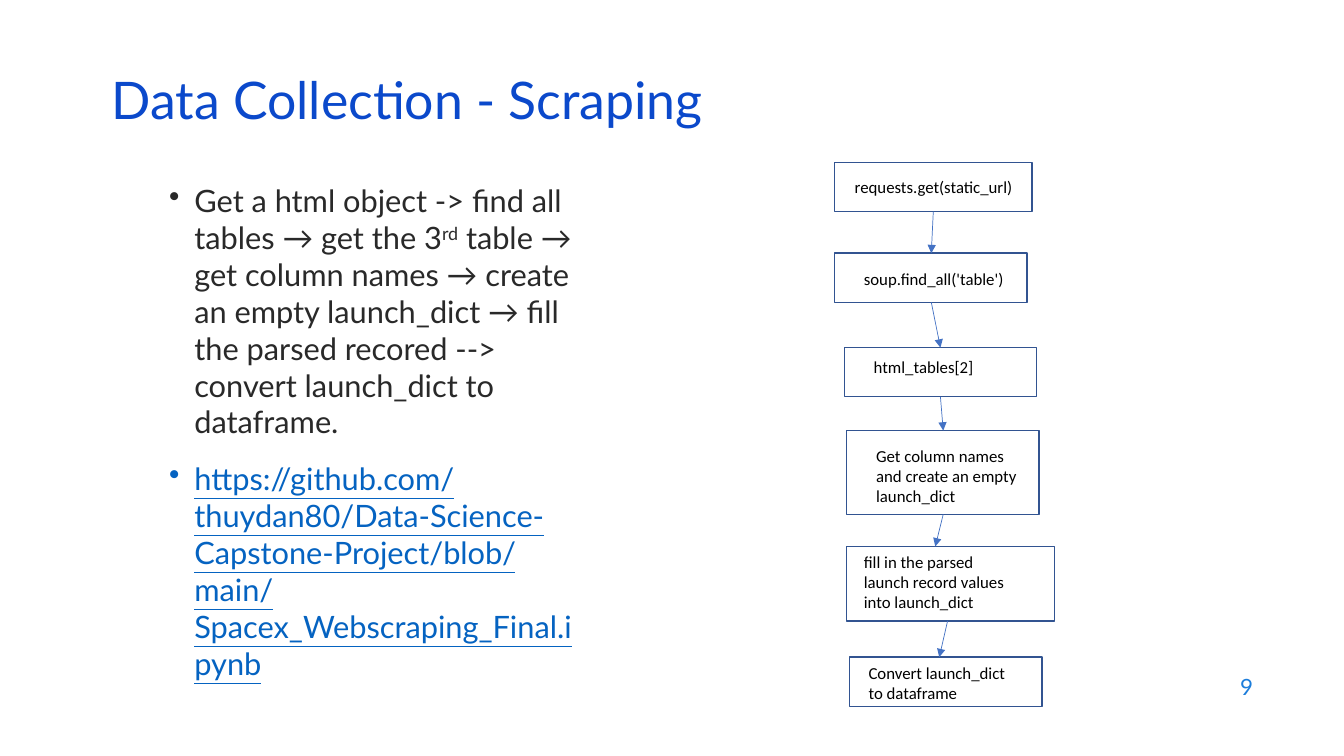
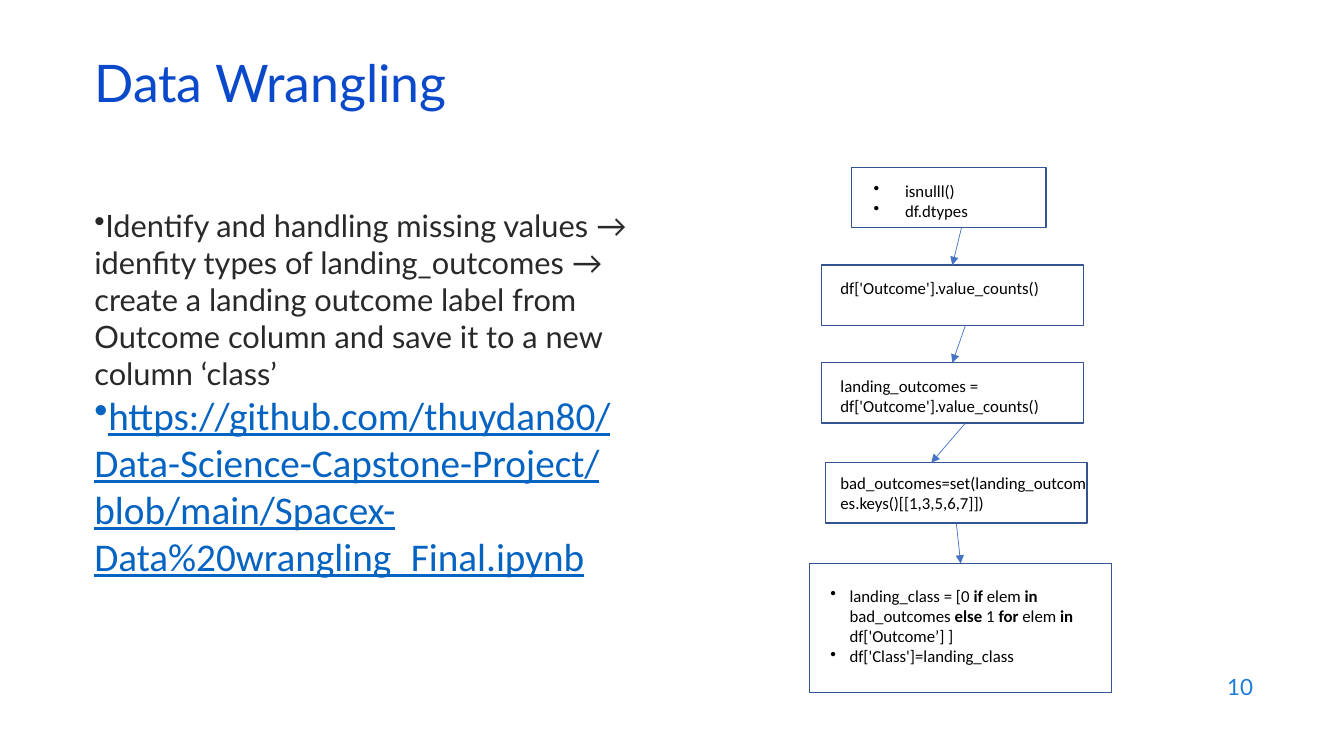
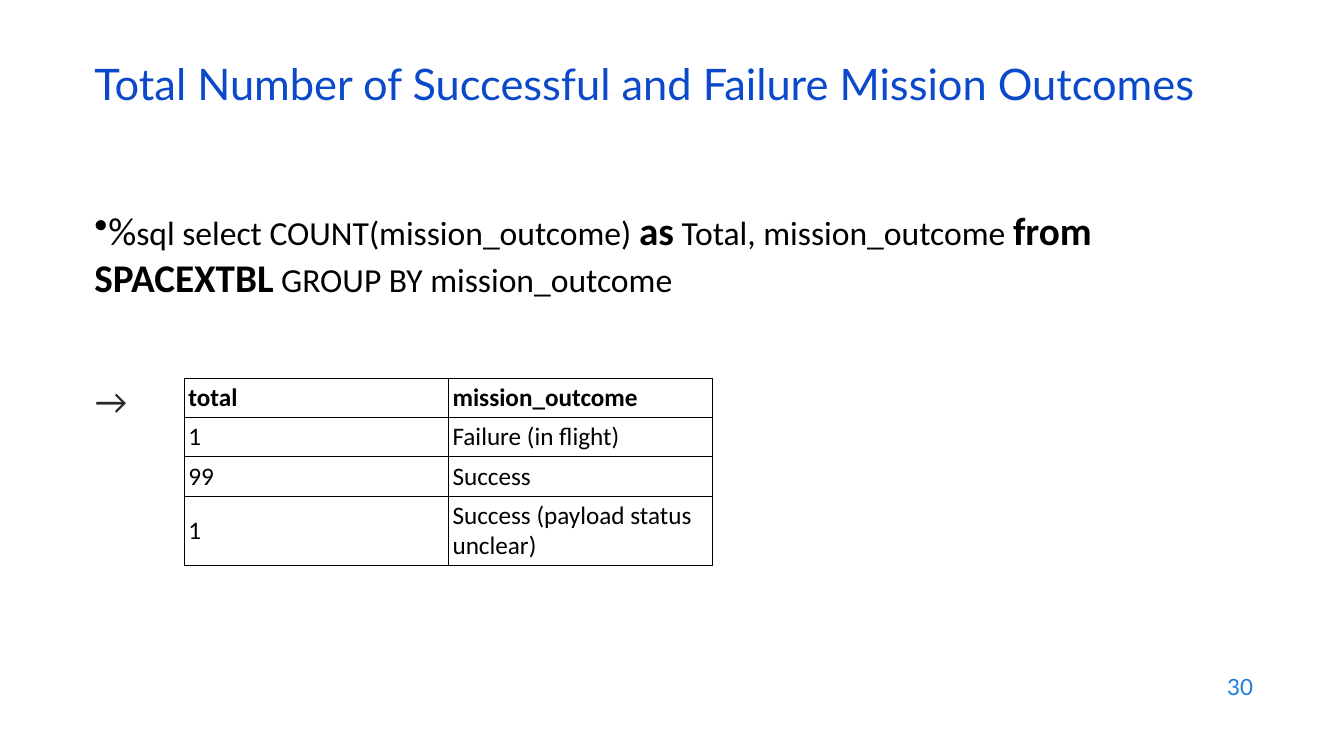
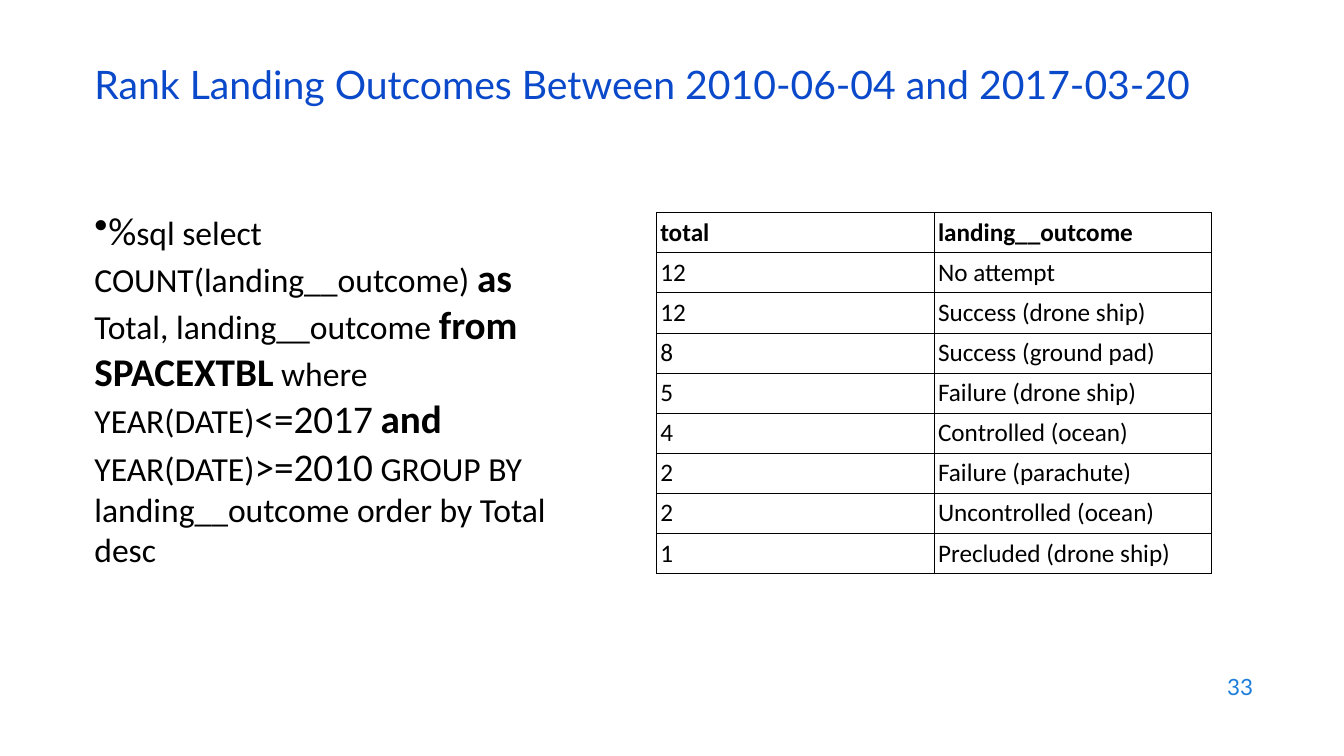
from dataclasses import dataclass

from lxml import etree
from pptx import Presentation
from pptx.dml.color import RGBColor
from pptx.enum.shapes import MSO_CONNECTOR, MSO_SHAPE
from pptx.enum.text import MSO_ANCHOR, PP_ALIGN
from pptx.oxml.ns import qn
from pptx.slide import Slide
from pptx.table import _Cell
from pptx.text.text import TextFrame, _Paragraph, _Run
from pptx.util import Cm, Pt

RECTANGLE = MSO_SHAPE.RECTANGLE
STRAIGHT = MSO_CONNECTOR.STRAIGHT
TOP, MIDDLE = MSO_ANCHOR.TOP, MSO_ANCHOR.MIDDLE
LEFT, RIGHT = PP_ALIGN.LEFT, PP_ALIGN.RIGHT

TITLE_BLUE = RGBColor(0x0B, 0x49, 0xCB)
NUMBER_BLUE = RGBColor(0x1C, 0x7D, 0xDB)
LINK_BLUE = RGBColor(0x05, 0x63, 0xC1)
BOX_LINE = RGBColor(0x32, 0x54, 0x91)
ARROW_BLUE = RGBColor(0x44, 0x72, 0xC4)
DARK = RGBColor(0x29, 0x29, 0x29)
BLACK = RGBColor(0, 0, 0)
WHITE = RGBColor(0xFF, 0xFF, 0xFF)

LATO = "Lato"
CALIBRI = "Calibri"
MARGIN = 2.13
BODY_TOP = 5.08


@dataclass(frozen=True)
class Style:
    size: float
    font: str = CALIBRI
    color: RGBColor = BLACK
    bold: bool = False
    underline: bool = False
    superscript: bool = False


BODY = Style(22, LATO, DARK)
BODY_RAISED = Style(22, LATO, DARK, superscript=True)
BODY_LINK = Style(22, LATO, LINK_BLUE, underline=True)
LARGE_LINK = Style(28, CALIBRI, LINK_BLUE, underline=True)
QUERY = Style(24)
QUERY_LARGE = Style(28)
KEYWORD = Style(28, bold=True)
ARROW_SIGN = Style(24, LATO, DARK)
STEP = Style(12)
STEP_BOLD = Style(12, bold=True)
CELL = Style(18)
CELL_HEADER = Style(18, bold=True)
PAGE_NUMBER = Style(16, LATO, NUMBER_BLUE)

Segment = tuple[str, Style]


@dataclass(frozen=True)
class Line:
    segments: list[Segment]
    bullet: bool = False
    hanging: float = 0
    space_before: float = 0


@dataclass(frozen=True)
class Box:
    left: float
    top: float
    width: float
    height: float


@dataclass(frozen=True)
class Step:
    box: Box
    inset_left: float
    inset_top: float
    inset_right: float
    lines: list[Line]


@dataclass(frozen=True)
class Arrow:
    start_x: float
    end_x: float


def step_line(text: str) -> list[Line]:
    return [Line([(text, STEP)])]


SCRAPING_BODY = [
    Line([
        ("Get a html object -> find all tables → get the 3", BODY),
        ("rd", BODY_RAISED),
        (" table → get column names → create an empty launch_dict → fill the "
         "parsed recored --> convert launch_dict to dataframe.", BODY),
    ], bullet=True, hanging=0.64),
    Line([("https://github.com/thuydan80/Data-Science-Capstone-Project/blob/main/"
           "Spacex_Webscraping_Final.ipynb", BODY_LINK)],
         bullet=True, hanging=0.64, space_before=14),
]

SCRAPING_STEPS = [
    Step(Box(21.03, 4.09, 4.98, 1.24), 0.51, 0.36, 0,
         step_line("requests.get(static_url)")),
    Step(Box(21.03, 6.38, 4.85, 1.24), 0.74, 0.38, 0.5,
         step_line("soup.find_all('table')")),
    Step(Box(21.28, 8.76, 4.85, 1.24), 0.74, 0.23, 0.5,
         step_line("html_tables[2]")),
    Step(Box(21.34, 10.85, 4.85, 2.11), 0.74, 0.38, 0.5,
         step_line("Get column names and create an empty launch_dict")),
    Step(Box(21.34, 13.77, 5.23, 1.88), 0.43, 0.13, 1.22,
         step_line("fill in the parsed launch record values into launch_dict")),
    Step(Box(21.41, 16.56, 4.85, 1.24), 0.48, 0.13, 0.76,
         step_line("Convert launch_dict to dataframe")),
]
SCRAPING_ARROWS = [
    Arrow(23.52, 23.47), Arrow(23.47, 23.7), Arrow(23.7, 23.77),
    Arrow(23.77, 23.57), Arrow(23.88, 23.67),
]

WRANGLING_BODY = [
    Line([("Identify and handling missing values → idenfity types of "
           "landing_outcomes → create a landing outcome label from Outcome "
           "column and save it to a new column ‘class’", BODY)], bullet=True),
    Line([("https://github.com/thuydan80/Data-Science-Capstone-Project/blob/main/"
           "Spacex-Data%20wrangling_Final.ipynb", LARGE_LINK)], bullet=True),
]

WRANGLING_STEPS = [
    Step(Box(21.46, 4.22, 4.9, 1.52), 0.56, 0.33, 0, [
        Line([(call, STEP)], bullet=True, hanging=0.79)
        for call in ("isnulll()", "df.dtypes")
    ]),
    Step(Box(20.7, 6.68, 6.6, 1.52), 0.48, 0.33, 0,
         step_line("df['Outcome'].value_counts()")),
    Step(Box(20.7, 9.14, 6.6, 1.52), 0.48, 0.33, 0,
         step_line("landing_outcomes = df['Outcome'].value_counts()")),
    Step(Box(20.8, 11.66, 6.6, 1.52), 0.38, 0.25, 0,
         step_line("bad_outcomes=set(landing_outcomes.keys()[[1,3,5,6,7]])")),
    Step(Box(20.4, 14.2, 7.62, 3.25), 0.53, 0.56, 0.25, [
        Line([
            ("landing_class = [0 ", STEP), ("if ", STEP_BOLD),
            ("elem ", STEP), ("in ", STEP_BOLD),
            ("bad_outcomes ", STEP), ("else", STEP_BOLD),
            (" 1 ", STEP), ("for ", STEP_BOLD),
            ("elem ", STEP), ("in", STEP_BOLD),
            (" df['Outcome’] ]", STEP),
        ], bullet=True, hanging=0.48),
        Line([("df['Class']=landing_class", STEP)], bullet=True, hanging=0.48),
    ]),
]
WRANGLING_ARROWS = [
    Arrow(24.23, 24), Arrow(24.33, 24), Arrow(24.33, 23.47), Arrow(24.1, 24.21),
]

MISSION_BODY = [
    Line([
        ("%", QUERY_LARGE),
        ("sql select COUNT(mission_outcome) ", QUERY), ("as", KEYWORD),
        (" Total, mission_outcome ", QUERY), ("from", KEYWORD),
        (" ", QUERY), ("SPACEXTBL", KEYWORD),
        (" GROUP BY mission_outcome", QUERY),
    ], bullet=True),
    Line([("→", ARROW_SIGN)], space_before=57),
]
MISSION_ROWS = [
    ("total", "mission_outcome"),
    ("1", "Failure (in flight)"),
    ("99", "Success"),
    ("1", "Success (payload status unclear)"),
]

LANDING_BODY = [
    Line([
        ("%", QUERY_LARGE),
        ("sql select COUNT(landing__outcome) ", QUERY), ("as", KEYWORD),
        (" Total, landing__outcome ", QUERY), ("from", KEYWORD),
        (" ", QUERY), ("SPACEXTBL", KEYWORD),
        (" where YEAR(DATE)", QUERY), ("<=2017", QUERY_LARGE),
        (" ", QUERY), ("and", KEYWORD),
        (" YEAR(DATE)", QUERY), (">=2010", QUERY_LARGE),
        (" GROUP BY landing__outcome order by Total desc", QUERY),
    ], bullet=True),
]
LANDING_ROWS = [
    ("total", "landing__outcome"),
    ("12", "No attempt"),
    ("12", "Success (drone ship)"),
    ("8", "Success (ground pad)"),
    ("5", "Failure (drone ship)"),
    ("4", "Controlled (ocean)"),
    ("2", "Failure (parachute)"),
    ("2", "Uncontrolled (ocean)"),
    ("1", "Precluded (drone ship)"),
]


def format_run(run: _Run, style: Style) -> None:
    run.font.name = style.font
    run.font.size = Pt(style.size)
    run.font.bold = style.bold
    run.font.underline = style.underline
    run.font.color.rgb = style.color
    if style.superscript:
        run._r.get_or_add_rPr().set("baseline", "30000")


def set_plain_text(text_frame: TextFrame, text: str, style: Style) -> _Paragraph:
    text_frame.text = text
    paragraph = text_frame.paragraphs[0]
    format_run(paragraph.runs[0], style)
    return paragraph


def add_bullet(paragraph: _Paragraph, hanging: float) -> None:
    properties = paragraph._p.get_or_add_pPr()
    properties.set("marL", str(int(Cm(hanging))))
    properties.set("indent", str(-int(Cm(hanging))))
    etree.SubElement(properties, qn("a:buChar")).set("char", "•")


def write_lines(text_frame: TextFrame, lines: list[Line]) -> None:
    for index, line in enumerate(lines):
        paragraph = text_frame.add_paragraph() if index else text_frame.paragraphs[0]
        if line.bullet:
            add_bullet(paragraph, line.hanging)
        paragraph.alignment = LEFT
        if line.space_before:
            paragraph.space_before = Pt(line.space_before)
        for text, style in line.segments:
            run = paragraph.add_run()
            run.text = text
            format_run(run, style)


def add_text_frame(slide: Slide, box: Box, anchor: MSO_ANCHOR = TOP) -> TextFrame:
    shape = slide.shapes.add_textbox(
        Cm(box.left), Cm(box.top), Cm(box.width), Cm(box.height))
    shape.text_frame.word_wrap = True
    shape.text_frame.vertical_anchor = anchor
    return shape.text_frame


def add_base_slide(presentation: Presentation, title: str, title_size: float,
                   number: int, body_box: Box, body: list[Line],
                   title_left: float = MARGIN, title_top: float = 1.5) -> Slide:
    slide = presentation.slides.add_slide(presentation.slide_layouts[6])
    number_frame = add_text_frame(slide, Box(24.21, 16.74, 7.62, 1.12), MIDDLE)
    set_plain_text(number_frame, str(number), PAGE_NUMBER).alignment = RIGHT
    write_lines(add_text_frame(slide, body_box), body)
    title_frame = add_text_frame(slide, Box(title_left, title_top, 29.21, 1.52), MIDDLE)
    title_style = Style(title_size, LATO, TITLE_BLUE)
    set_plain_text(title_frame, title, title_style).line_spacing = 0.7
    return slide


def add_step(slide: Slide, step: Step) -> None:
    box = step.box
    shape = slide.shapes.add_shape(
        RECTANGLE, Cm(box.left), Cm(box.top), Cm(box.width), Cm(box.height))
    shape.shadow.inherit = False
    shape.fill.background()
    shape.line.color.rgb = BOX_LINE
    shape.line.width = Pt(1)
    text_frame = shape.text_frame
    text_frame.word_wrap = True
    text_frame.vertical_anchor = TOP
    text_frame.margin_left = Cm(step.inset_left)
    text_frame.margin_top = Cm(step.inset_top)
    text_frame.margin_right = Cm(step.inset_right)
    text_frame.margin_bottom = Cm(0)
    write_lines(text_frame, step.lines)


def add_arrow(slide: Slide, arrow: Arrow, upper: Box, lower: Box) -> None:
    connector = slide.shapes.add_connector(
        STRAIGHT, Cm(arrow.start_x), Cm(upper.top + upper.height),
        Cm(arrow.end_x), Cm(lower.top))
    connector.line.color.rgb = ARROW_BLUE
    connector.line.width = Pt(0.5)
    line = connector.line._get_or_add_ln()
    etree.SubElement(line, qn("a:tailEnd")).set("type", "triangle")
    etree.SubElement(connector._element.spPr, qn("a:effectLst"))


def add_flow(slide: Slide, steps: list[Step], arrows: list[Arrow]) -> None:
    for step in steps:
        add_step(slide, step)
    for arrow, upper, lower in zip(arrows, steps, steps[1:]):
        add_arrow(slide, arrow, upper.box, lower.box)


def add_borders(cell: _Cell) -> None:
    properties = cell._tc.get_or_add_tcPr()
    for index, side in enumerate(("a:lnL", "a:lnR", "a:lnT", "a:lnB")):
        border = etree.Element(qn(side))
        border.set("w", str(int(Pt(0.75))))
        fill = etree.SubElement(border, qn("a:solidFill"))
        etree.SubElement(fill, qn("a:srgbClr")).set("val", str(BLACK))
        properties.insert(index, border)


def add_result_table(slide: Slide, box: Box, rows: list[tuple[str, str]],
                     row_height: float) -> None:
    columns = len(rows[0])
    table = slide.shapes.add_table(
        len(rows), columns, Cm(box.left), Cm(box.top),
        Cm(box.width), Cm(box.height)).table
    table.horz_banding = False
    table.first_row = False
    for column in table.columns:
        column.width = Cm(box.width / columns)
    for row_index, values in enumerate(rows):
        table.rows[row_index].height = Cm(row_height)
        for column_index, value in enumerate(values):
            cell = table.cell(row_index, column_index)
            cell.fill.solid()
            cell.fill.fore_color.rgb = WHITE
            cell.vertical_anchor = MIDDLE
            cell.margin_left = cell.margin_right = Cm(0.1)
            cell.margin_top = cell.margin_bottom = Cm(0.1)
            set_plain_text(cell.text_frame, value, CELL if row_index else CELL_HEADER)
            add_borders(cell)
    last_row = table.rows[len(rows) - 1]
    last_row.height = Cm(box.height - row_height * (len(rows) - 1))


def main() -> None:
    presentation = Presentation()
    presentation.slide_width = Cm(33.87)
    presentation.slide_height = Cm(19.05)

    scraping = add_base_slide(
        presentation, "Data Collection - Scraping", 37, 9,
        Box(4.01, 4.45, 10.92, 12.85), SCRAPING_BODY,
        title_left=2.57, title_top=1.93)
    add_flow(scraping, SCRAPING_STEPS, SCRAPING_ARROWS)

    wrangling = add_base_slide(
        presentation, "Data Wrangling", 37, 10,
        Box(MARGIN, BODY_TOP, 14.78, 12.09), WRANGLING_BODY)
    add_flow(wrangling, WRANGLING_STEPS, WRANGLING_ARROWS)

    mission = add_base_slide(
        presentation, "Total Number of Successful and Failure Mission Outcomes", 31, 30,
        Box(MARGIN, BODY_TOP, 27.08, 12.09), MISSION_BODY)
    add_result_table(mission, Box(4.65, 9.53, 13.31, 4.72), MISSION_ROWS, 0.99)

    landing = add_base_slide(
        presentation, "Rank Landing Outcomes Between 2010-06-04 and 2017-03-20", 28, 33,
        Box(MARGIN, BODY_TOP, 12.73, 12.09), LANDING_BODY)
    add_result_table(landing, Box(16.54, 5.36, 14, 9.09), LANDING_ROWS, 1.01)

    presentation.save("out.pptx")


if __name__ == "__main__":
    main()
